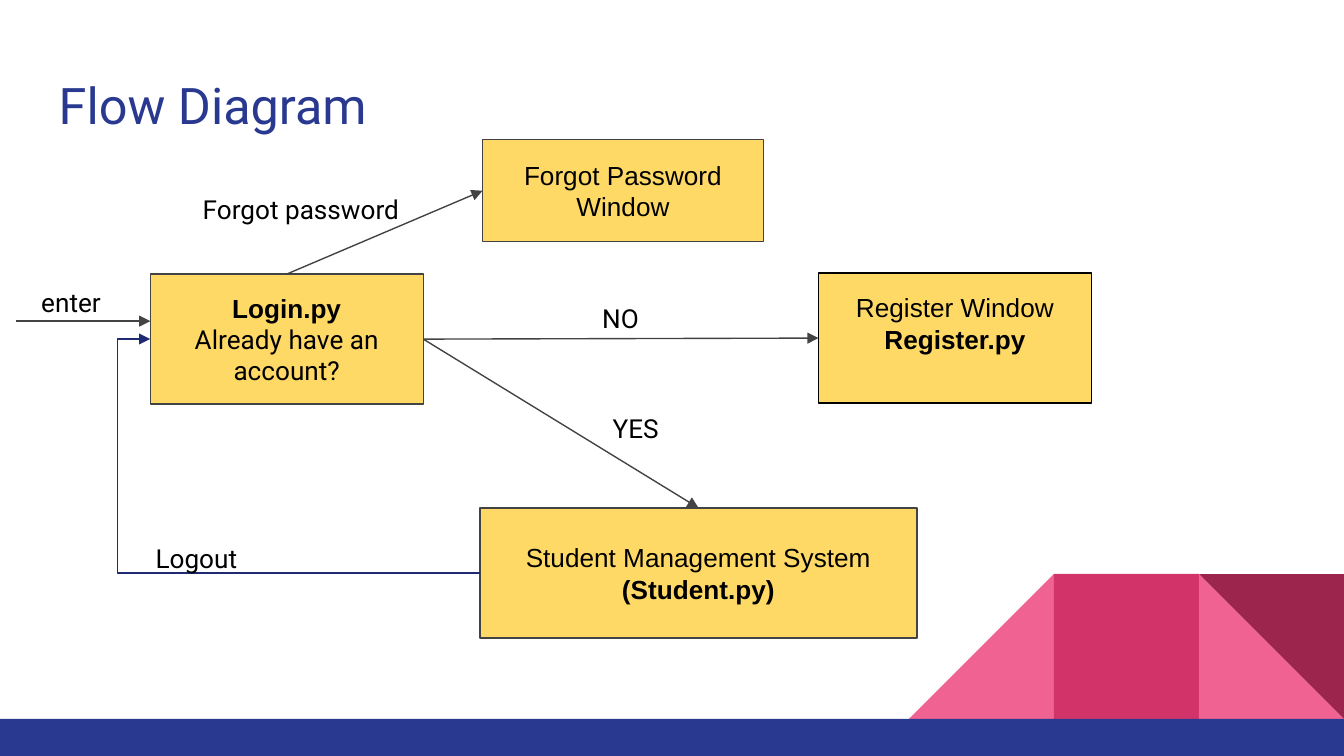
"""Builds the flow diagram slide of a student login program."""
from lxml import etree
from pptx import Presentation
from pptx.dml.color import RGBColor
from pptx.enum.shapes import MSO_CONNECTOR, MSO_SHAPE
from pptx.enum.text import MSO_ANCHOR, MSO_AUTO_SIZE, PP_ALIGN
from pptx.oxml.ns import qn
from pptx.util import Cm, Pt

RECTANGLE, TRIANGLE = MSO_SHAPE.RECTANGLE, MSO_SHAPE.RIGHT_TRIANGLE
STRAIGHT, ELBOW = MSO_CONNECTOR.STRAIGHT, MSO_CONNECTOR.ELBOW
MIDDLE, TOP_ANCHOR = MSO_ANCHOR.MIDDLE, MSO_ANCHOR.TOP
CENTER, LEFT_ALIGN = PP_ALIGN.CENTER, PP_ALIGN.LEFT
NO_FIT = MSO_AUTO_SIZE.NONE
TOP, LEFT, RIGHT = 0, 1, 3

BLUE = RGBColor(0x2A, 0x39, 0x90)
NAVY = RGBColor(0x1E, 0x2B, 0x73)
PINK = RGBColor(0xF0, 0x62, 0x92)
ROSE = RGBColor(0xD2, 0x33, 0x69)
WINE = RGBColor(0x9C, 0x25, 0x4D)
YELLOW = RGBColor(0xFF, 0xD9, 0x66)
GRAY = RGBColor(0x43, 0x43, 0x43)
BLACK = RGBColor(0, 0, 0)

WIDTH, HEIGHT = 25.4, 14.29
BAND_TOP = 13.59
TILE = 2.74


class FlowSlide:
    """Holds the style and the current slide."""

    def __init__(self, slide):
        self.shapes = slide.shapes
        self.body_font, self.box_font = "Roboto", "Arial"
        self.text_size, self.title_size = Pt(14), Pt(27)
        self.line_width = Pt(0.75)
        self.inset = Cm(0.25)

    def set_text(self, frame, lines, size, color, align, anchor):
        frame.word_wrap = True
        frame.auto_size = NO_FIT
        frame.vertical_anchor = anchor
        frame.margin_left = frame.margin_right = self.inset
        frame.margin_top = frame.margin_bottom = self.inset
        frame.text = "\n".join(text for text, _, _ in lines)
        for paragraph, (_, font_name, bold) in zip(frame.paragraphs, lines):
            paragraph.alignment = align
            font = paragraph.runs[0].font
            font.name, font.size, font.bold = font_name, size, bold
            font.color.rgb = color

    def title(self, text, left, top, width, height):
        title = self.shapes.title
        title.left, title.top = Cm(left), Cm(top)
        title.width, title.height = Cm(width), Cm(height)
        self.set_text(title.text_frame, [(text, self.body_font, False)],
                      self.title_size, BLUE, LEFT_ALIGN, MIDDLE)

    def block(self, kind, color, left, top, width, height):
        shape = self.shapes.add_shape(kind, Cm(left), Cm(top), Cm(width), Cm(height))
        shape.shadow.inherit = False
        shape.fill.solid()
        shape.fill.fore_color.rgb = color
        shape.line.fill.background()
        return shape

    def box(self, lines, left, top, width, height, outline=GRAY):
        shape = self.block(RECTANGLE, YELLOW, left, top, width, height)
        shape.line.color.rgb = outline
        shape.line.width = self.line_width
        self.set_text(shape.text_frame, lines, self.text_size, BLACK, CENTER, MIDDLE)
        return shape

    def label(self, text, left, top, width):
        shape = self.shapes.add_textbox(Cm(left), Cm(top), Cm(width), Cm(1.12))
        self.set_text(shape.text_frame, [(text, self.body_font, False)],
                      self.text_size, BLACK, LEFT_ALIGN, TOP_ANCHOR)

    def arrow(self, start=(0, 0), end=(0, 0), kind=STRAIGHT, color=GRAY):
        connector = self.shapes.add_connector(kind, *map(Cm, start + end))
        connector.line.color.rgb = color
        connector.line.width = self.line_width
        properties = connector._element.spPr
        etree.SubElement(properties.get_or_add_ln(), qn("a:tailEnd"), type="triangle")
        etree.SubElement(properties, qn("a:effectLst"))
        return connector

    def link(self, source, source_site, target, target_site, kind=STRAIGHT, color=GRAY):
        connector = self.arrow(kind=kind, color=color)
        connector.begin_connect(source, source_site)
        connector.end_connect(target, target_site)
        return connector

    def bend(self, connector, percent):
        guides = connector._element.spPr.find(qn("a:prstGeom")).get_or_add_avLst()
        etree.SubElement(guides, qn("a:gd"), name="adj1", fmla=f"val {percent * 1000}")

    def decoration(self):
        top = BAND_TOP - TILE
        tiles = [(TRIANGLE, PINK, 3), (RECTANGLE, ROSE, 2),
                 (TRIANGLE, PINK, 1), (TRIANGLE, WINE, 1)]
        first, _, _, last = [
            self.block(kind, color, WIDTH - steps * TILE, top, TILE, TILE)
            for kind, color, steps in tiles]
        first._element.spPr.find(qn("a:xfrm")).set("flipH", "1")
        last.rotation = 180
        self.block(RECTANGLE, BLUE, 0, BAND_TOP, WIDTH, HEIGHT - BAND_TOP)


def main():
    presentation = Presentation()
    presentation.slide_width, presentation.slide_height = Cm(WIDTH), Cm(HEIGHT)
    page = FlowSlide(presentation.slides.add_slide(presentation.slide_layouts[5]))
    page.decoration()
    page.title("Flow Diagram", 0.86, 1.14, 23.67, 1.68)

    arial, roboto = page.box_font, page.body_font
    register = page.box([("Register Window", arial, False), ("Register.py", arial, True)],
                        15.47, 5.16, 5.16, 2.46, BLACK)
    register.text_frame.margin_bottom = Cm(0.82)
    login = page.box([("Login.py", arial, True), ("Already have an account?", roboto, False)],
                     2.84, 5.18, 5.16, 2.46)
    student = page.box([("Student Management System", arial, False),
                        ("(Student.py)", arial, True)], 9.07, 9.6, 8.26, 2.46)
    forgot = page.box([("Forgot Password Window", arial, False)], 9.12, 2.64, 5.31, 1.93)

    page.link(login, RIGHT, register, LEFT)
    page.link(login, RIGHT, student, TOP)
    page.link(login, TOP, forgot, LEFT)
    page.arrow((0.3, 6.07), (2.84, 6.07))
    logout = page.link(student, LEFT, login, LEFT, ELBOW, NAVY)
    page.bend(logout, 110)

    for text, left, top, width in [
            ("NO", 11.13, 5.46, 1.5), ("YES", 11.33, 7.54, 1.52),
            ("Logout", 2.69, 10.01, 2.51), ("enter", 0.53, 5.16, 1.7),
            ("Forgot password", 3.58, 3.4, 6.07)]:
        page.label(text, left, top, width)
    presentation.save("out.pptx")


if __name__ == "__main__":
    main()
